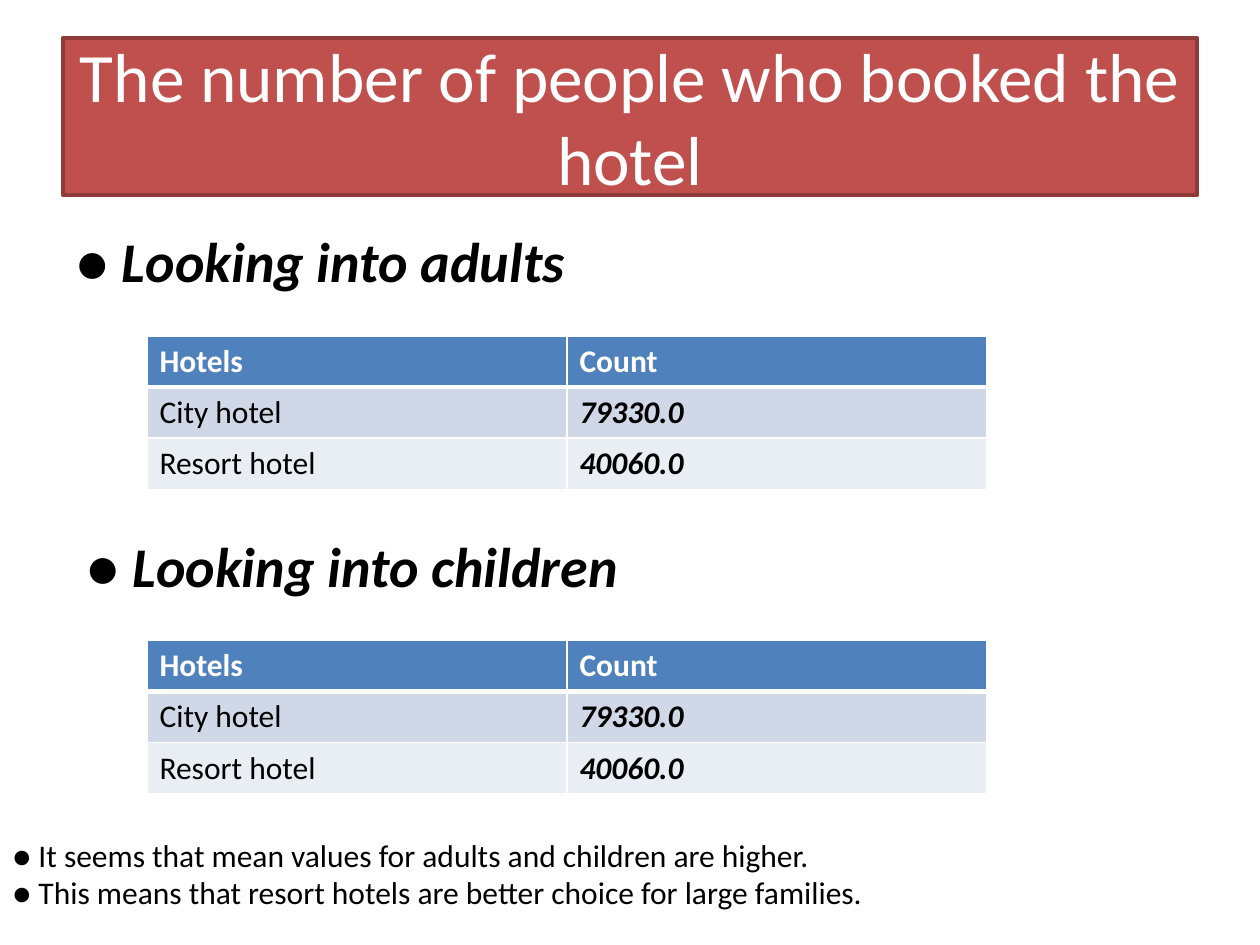
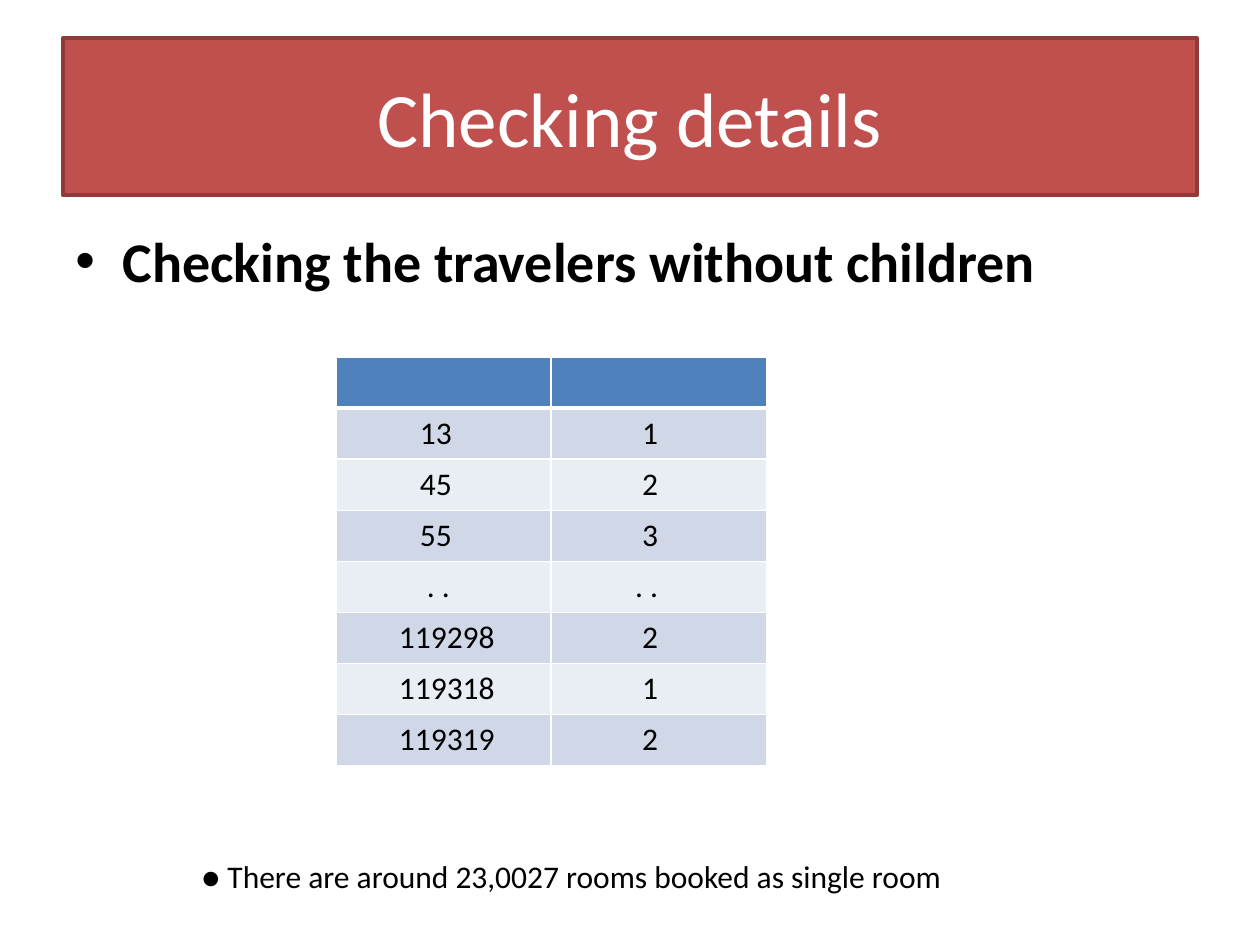
"""Build two slides on hotel bookings: guest counts and booking details."""
import dataclasses

import lxml.etree
import pptx
import pptx.dml.color
import pptx.enum.shapes
import pptx.enum.text
import pptx.oxml.ns
import pptx.util

Pt = pptx.util.Pt
RGB = pptx.dml.color.RGBColor.from_string
qn = pptx.oxml.ns.qn


@dataclasses.dataclass(frozen=True)
class Theme:
    font: str = "Calibri"
    white: str = "FFFFFF"
    ink: str = "000000"
    banner: str = "C0504D"
    banner_edge: str = "8E3B39"
    header: str = "4F81BD"
    bands: tuple = ("D0D8E8", "E9EDF4")
    title_size: float = 44
    long_title_size: float = 39.6
    heading_size: float = 32
    text_size: float = 18
    row_height: float = 29.2


theme = Theme()


def add_span(para, text, size, color=theme.ink, bold=False, italic=False):
    span = para.add_run()
    span.text = text
    span.font.name = theme.font
    span.font.size = Pt(size)
    span.font.bold = bold
    span.font.italic = italic
    span.font.color.rgb = RGB(color)


def add_grid(page, left, top, column_width, rows, indents, emphasis):
    frame = page.shapes.add_table(
        len(rows), 2, Pt(left), Pt(top),
        Pt(2 * column_width), Pt(len(rows) * theme.row_height))
    grid = frame.table
    for column in grid.columns:
        column.width = Pt(column_width)
    for r, row in enumerate(rows):
        grid.rows[r].height = Pt(theme.row_height)
        for c, text in enumerate(row):
            cell = grid.cell(r, c)
            properties = cell._tc.get_or_add_tcPr()
            widths = {"lnL": 1, "lnR": 1, "lnT": 3 if r == 1 else 1, "lnB": 3 if r == 0 else 1}
            for side, width in widths.items():
                line = lxml.etree.SubElement(properties, qn(f"a:{side}"), w=str(Pt(width)))
                paint = lxml.etree.SubElement(line, qn("a:solidFill"))
                lxml.etree.SubElement(paint, qn("a:srgbClr"), val=theme.white)
            cell.fill.solid()
            cell.fill.fore_color.rgb = RGB(theme.bands[(r - 1) % 2] if r else theme.header)
            cell.margin_left = Pt(indents[c] + (4 if text == ". ." and c == 0 else 0)
                                  - (4 if text == ". ." and c == 1 else 0)
                                  - (12 if len(text) == 6 and text.isdigit() else 0))
            if text:
                strong = emphasis and c == 1 and r > 0
                add_span(cell.text_frame.paragraphs[0], text, theme.text_size,
                         theme.ink if r else theme.white, bold=strong or r == 0, italic=strong)


deck = pptx.Presentation()
deck.slide_width = Pt(720)
deck.slide_height = Pt(540)

titles = [
    ("The number of people who booked the hotel", theme.long_title_size),
    ("Checking details", theme.title_size),
]
pages = []
for title, size in titles:
    page = deck.slides.add_slide(deck.slide_layouts[6])
    pages.append(page)
    banner = page.shapes.add_shape(
        pptx.enum.shapes.MSO_SHAPE.RECTANGLE, Pt(36), Pt(21.6), Pt(648), Pt(90))
    banner.shadow.inherit = False
    banner.fill.solid()
    banner.fill.fore_color.rgb = RGB(theme.banner)
    banner.line.color.rgb = RGB(theme.banner_edge)
    banner.line.width = Pt(2)
    banner.text_frame.word_wrap = True
    banner.text_frame.vertical_anchor = pptx.enum.text.MSO_ANCHOR.MIDDLE
    para = banner.text_frame.paragraphs[0]
    para.alignment = pptx.enum.text.PP_ALIGN.CENTER
    add_span(para, title, size, theme.white)
guests_page, details_page = pages

hotel_rows = [("Hotels", "Count"), ("City hotel", "79330.0"), ("Resort hotel", "40060.0")]
sections = [
    ("Looking into adults", 36, 126, 192),
    ("Looking into children", 42, 300, 366),
]
for heading, left, top, grid_top in sections:
    box = guests_page.shapes.add_textbox(Pt(left), Pt(top), Pt(360), Pt(46))
    box.text_frame.word_wrap = True
    para = box.text_frame.paragraphs[0]
    add_span(para, "● ", theme.heading_size)
    add_span(para, heading, theme.heading_size, bold=True, italic=True)
    add_grid(guests_page, 84, grid_top, 240, hotel_rows, (7.2, 7.2), emphasis=True)

box = details_page.shapes.add_textbox(Pt(36), Pt(126), Pt(648), Pt(46))
box.text_frame.word_wrap = True
para = box.text_frame.paragraphs[0]
properties = para._p.get_or_add_pPr()
properties.set("marL", str(Pt(27)))
properties.set("indent", str(-Pt(27)))
lxml.etree.SubElement(properties, qn("a:buFont"), typeface="Arial")
lxml.etree.SubElement(properties, qn("a:buChar"), char="•")
add_span(para, "Checking the travelers without children", theme.heading_size, bold=True)

traveler_rows = [
    ("", ""), ("13", "1"), ("45", "2"), ("55", "3"), (". .", ". ."),
    ("119298", "2"), ("119318", "1"), ("119319", "2"),
]
add_grid(details_page, 192, 204, 123, traveler_rows, (48, 52), emphasis=False)

notes = [
    (guests_page, 0, 474, 720, [
        "It seems that mean values for adults and children are higher.",
        "This means that resort hotels are better choice for large families."]),
    (details_page, 108, 486, 443, ["There are around 23,0027 rooms booked as single room"]),
]
for page, left, top, width, lines in notes:
    box = page.shapes.add_textbox(Pt(left), Pt(top), Pt(width), Pt(7.2 + 22 * len(lines)))
    frame = box.text_frame
    frame.word_wrap = True
    for i, line in enumerate(lines):
        para = frame.add_paragraph() if i else frame.paragraphs[0]
        add_span(para, f"● {line}", theme.text_size)

deck.save("out.pptx")
